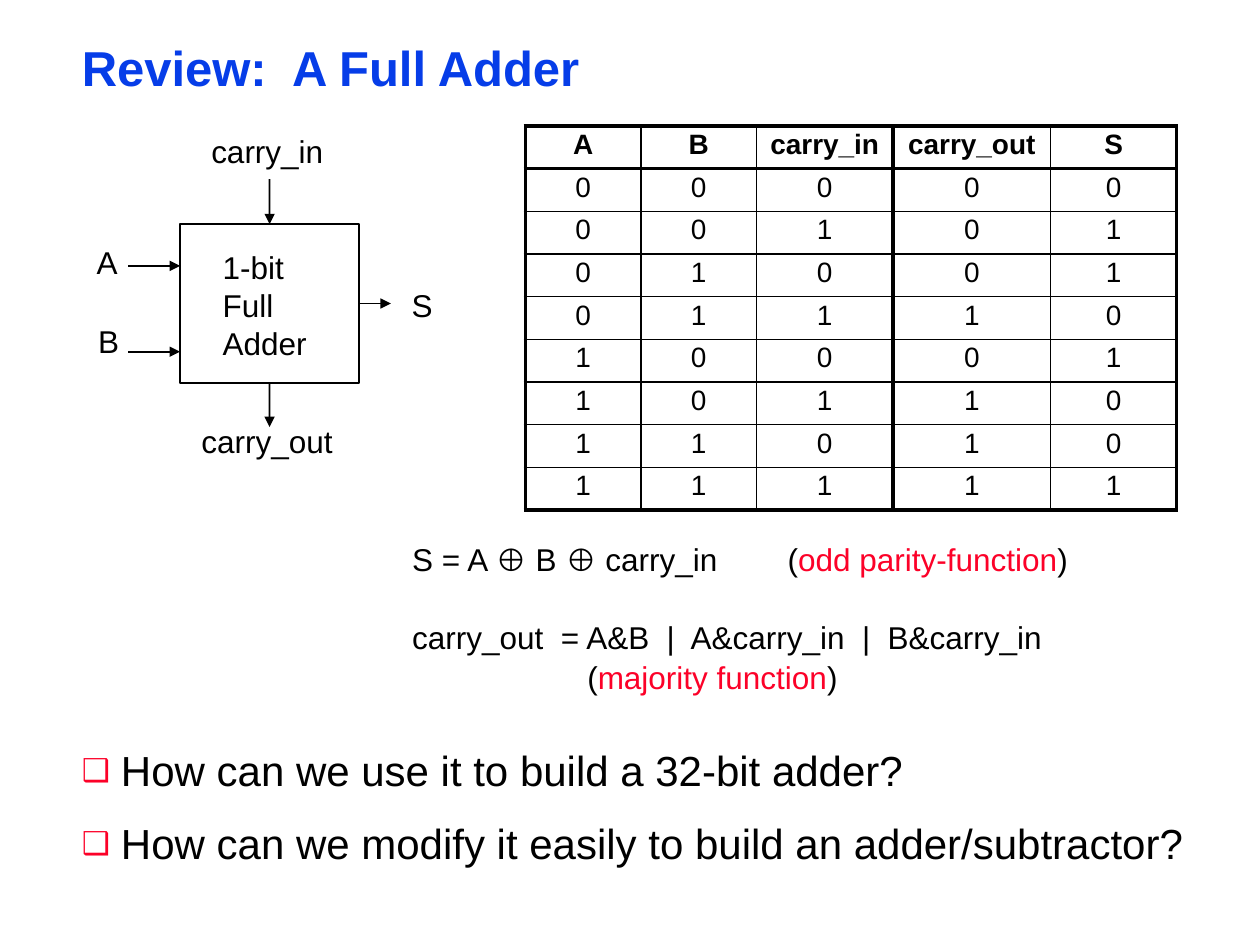
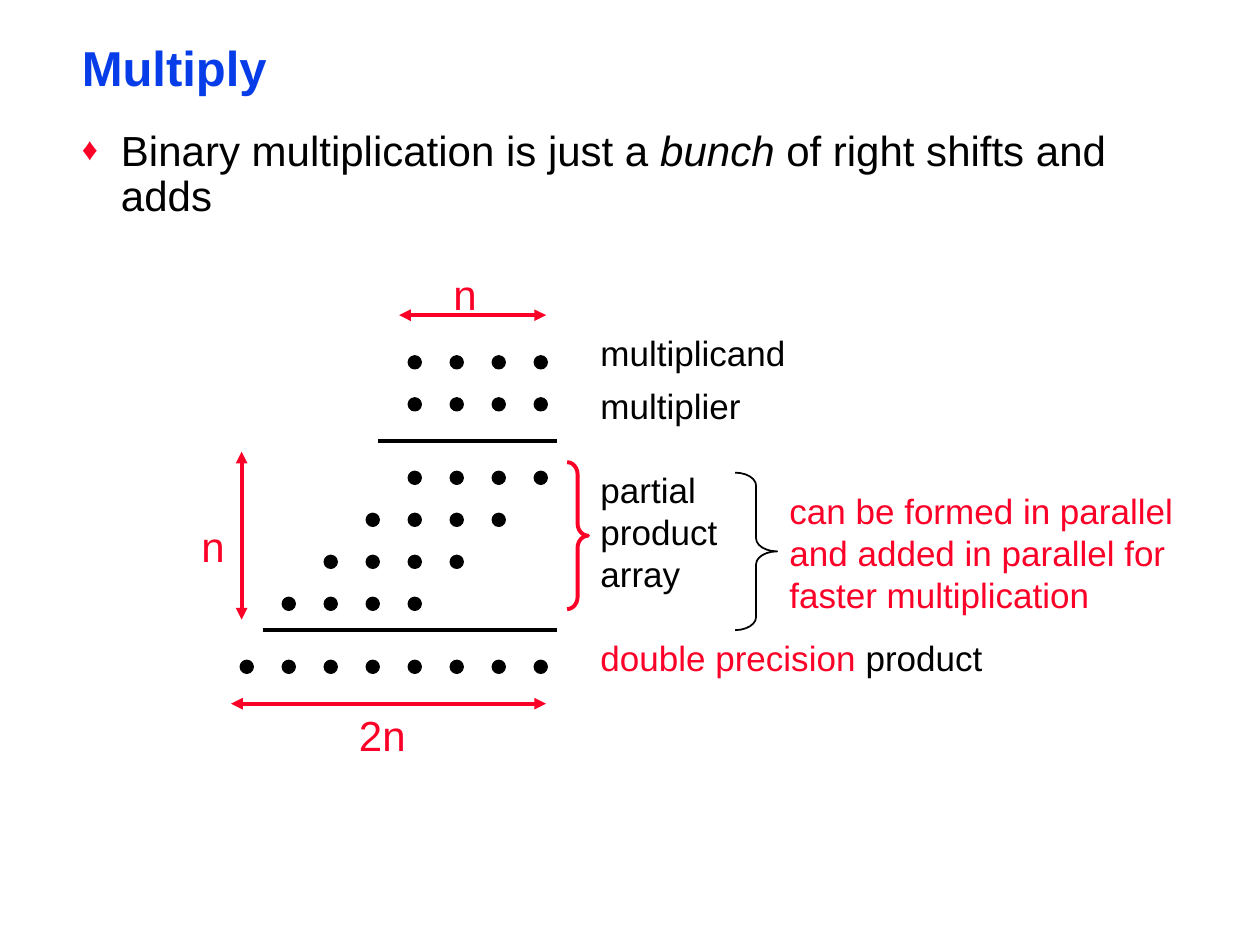
from itertools import product

from lxml import etree
from pptx import Presentation
from pptx import util as u
from pptx.dml.color import RGBColor
from pptx.enum import shapes, text
from pptx.oxml import ns

BLUE = RGBColor(0x06, 0x3D, 0xE8)
RED = RGBColor(0xFC, 0x01, 0x28)
BLACK = RGBColor(0, 0, 0)
FONT = "Arial"
THIN, THICK = 1, 2.25
MARGIN, CONTENT_WIDTH = 1.47, 22.66
TIGHT = (0.18, 0.08)
PITCH = 2.54 / 3
DOT = 0.21


def add_child(parent, tag, **attributes):
    """Append a DrawingML element and return it."""
    return etree.SubElement(parent, ns.qn(f"a:{tag}"), **attributes)


def write(frame, paragraphs, size=18, color=BLACK, bold=False, align=text.PP_ALIGN.LEFT,
          spacing=None, before=0, bullet=None, tab=None, insets=None, wrap=True):
    """Fill a text frame; each paragraph is a string or a list of (words, color, italic) spans."""
    frame.word_wrap = wrap
    frame.auto_size = text.MSO_AUTO_SIZE.NONE
    if insets:
        frame.margin_left = frame.margin_right = u.Cm(insets[0])
        frame.margin_top = frame.margin_bottom = u.Cm(insets[1])
    for index, spans in enumerate(paragraphs):
        para = frame.add_paragraph() if index else frame.paragraphs[0]
        para.alignment = align
        if spacing:
            para.line_spacing = spacing
        if index and before:
            para.space_before = u.Pt(before)
        for words, tint, italic in [(spans, color, False)] if isinstance(spans, str) else spans:
            span = para.add_run()
            span.text = words
            font = span.font
            font.name, font.size, font.bold, font.italic = FONT, u.Pt(size), bold, italic
            font.color.rgb = tint
        if bullet:
            set_bullet(para, bullet)
        if tab:
            stops = add_child(para._p.get_or_add_pPr(), "tabLst")
            add_child(stops, "tab", pos=str(u.Cm(tab)), algn="l")


def set_bullet(para, symbol):
    """Give a paragraph a red bullet with a hanging indent."""
    properties = para._p.get_or_add_pPr()
    properties.set("marL", str(u.Cm(0.79)))
    properties.set("indent", str(u.Cm(-0.79)))
    add_child(add_child(properties, "buClr"), "srgbClr", val=str(RED))
    add_child(properties, "buSzPct", val="75000")
    add_child(properties, "buFont", typeface=FONT)
    add_child(properties, "buChar", char=symbol)


def add_text(holder, left, top, width, height, *paragraphs, **style):
    """Place a text box in a page or group."""
    box = holder.shapes.add_textbox(u.Cm(left), u.Cm(top), u.Cm(width), u.Cm(height))
    write(box.text_frame, paragraphs, **style)
    return box


def add_figure(holder, kind, left, top, width, height, color=BLACK, weight=THICK, fill=None):
    """Place a flat preset shape in a page or group."""
    figure = holder.shapes.add_shape(kind, u.Cm(left), u.Cm(top), u.Cm(width), u.Cm(height))
    figure.shadow.inherit = False
    if fill is None:
        figure.fill.background()
    else:
        figure.fill.solid()
        figure.fill.fore_color.rgb = fill
    figure.line.color.rgb = color
    figure.line.width = u.Pt(weight)
    return figure


def add_line(page, start, end, color=BLACK, weight=THICK, heads=()):
    """Draw a straight line with triangles at the named ends."""
    line = page.shapes.add_connector(shapes.MSO_CONNECTOR.STRAIGHT,
                                     *(u.Cm(value) for value in (*start, *end)))
    line.line.color.rgb = color
    line.line.width = u.Pt(weight)
    properties = line.element.spPr
    for head in heads:
        add_child(properties.find(ns.qn("a:ln")), head, type="triangle")
    add_child(properties, "effectLst")
    return line


def add_page(deck, title):
    """Add a title-only page with the shared heading style."""
    page = deck.slides.add_slide(deck.slide_layouts[5])
    heading = page.shapes.title
    heading.left, heading.top = u.Cm(MARGIN), u.Cm(0.84)
    heading.width, heading.height = u.Cm(CONTENT_WIDTH), u.Cm(1.17)
    heading.text_frame.vertical_anchor = text.MSO_ANCHOR.TOP
    write(heading.text_frame, [title], size=28, color=BLUE, bold=True, spacing=0.87, insets=TIGHT)
    return page


def add_bullets(page, top, height, symbol, *paragraphs):
    """Add the bulleted statements of a page."""
    add_text(page, MARGIN, top, CONTENT_WIDTH, height, *paragraphs, size=24,
             spacing=0.9, before=16, bullet=symbol, insets=TIGHT)


def draw_adder(page, left, top, width, height):
    """Draw the adder block with its inputs and outputs."""
    adder = add_figure(page, shapes.MSO_SHAPE.RECTANGLE, left, top, width, height, weight=1.5)
    add_text(page, left + 0.61, top + 0.36, 2.36, 2.54, "1-bit Full Adder")
    arrow = {"weight": THIN, "heads": ["tailEnd"]}
    for drop in (0.84, 2.57):
        add_line(page, (left - 1.04, top + drop), (left, top + drop), **arrow)
    center, middle = left + width / 2, top + height / 2
    carry_in = add_line(page, (center, top - 0.91), (center, top), **arrow)
    carry_in.end_connect(adder, 0)
    carry_out = add_line(page, (center, top + height), (center, top + height + 0.89), **arrow)
    carry_out.begin_connect(adder, 2)
    total = add_line(page, (left + width, middle), (left + width + 0.64, middle), **arrow)
    total.begin_connect(adder, 3)
    for name, across, down, label_width in (
            ("A", -1.93, 0.25, 0.94), ("B", -1.9, 1.85, 0.94), ("S", 4.42, 1.12, 0.94),
            ("carry_in", 0.38, -1.98, 2.77), ("carry_out", 0.18, 3.86, 3.15)):
        add_text(page, left + across, top + down, label_width, 1.02, name, wrap=False)


def set_borders(cell, **weights):
    """Draw the four borders of a table cell, given as L, R, T and B."""
    for side, weight in weights.items():
        border = add_child(cell._tc.get_or_add_tcPr(), f"ln{side}", w=str(u.Pt(weight)))
        add_child(add_child(border, "solidFill"), "srgbClr", val=str(BLACK))


def draw_truth_table(page, left, top, widths, row_height):
    """Build the truth table of the adder."""
    rows = [("A", "B", "carry_in", "carry_out", "S")]
    for bits in product((0, 1), repeat=3):
        rows.append((*bits, int(sum(bits) >= 2), sum(bits) % 2))
    frame = page.shapes.add_table(len(rows), len(widths), u.Cm(left), u.Cm(top),
                                  u.Cm(sum(widths)), u.Cm(row_height * len(rows)))
    table = frame.table
    table.first_row = table.horz_banding = False
    for column, width in zip(table.columns, widths):
        column.width = u.Cm(width)
    vertical = [THICK, THIN, THIN, THICK, THIN, THICK]
    horizontal = [THICK, THICK] + [THIN] * (len(rows) - 2) + [THICK]
    for y, values in enumerate(rows):
        table.rows[y].height = u.Cm(row_height)
        for x, value in enumerate(values):
            cell = table.cell(y, x)
            write(cell.text_frame, [str(value)], size=16, bold=y == 0,
                  align=text.PP_ALIGN.CENTER, spacing=0.9)
            set_borders(cell, L=vertical[x], R=vertical[x + 1],
                        T=horizontal[y], B=horizontal[y + 1])
            cell.fill.background()


def draw_equations(page, left, top):
    """Write the logic equations of both outputs."""
    add_text(page, left, top, 15.8, 1.1,
             [("S = A ⊕ B ⊕ carry_in\t(", BLACK, False),
              ("odd parity-function", RED, False), (")", BLACK, False)],
             tab=7.57, insets=TIGHT)
    add_text(page, left, top + 1.55, 15.8, 0.95,
             "carry_out  = A&B  |  A&carry_in  |  B&carry_in", spacing=1.05, insets=TIGHT)
    add_text(page, left + 3.53, top + 2.34, 8, 0.95,
             [("(", BLACK, False), ("majority function", RED, False), (")", BLACK, False)],
             spacing=1.05, insets=TIGHT)


def draw_multiplication(page, left, top):
    """Draw the dot diagram on a grid that starts at the leftmost product dot."""
    def at(column, row):
        return left + column * PITCH, top + row * PITCH

    def label(holder, column, row, width, height, *paragraphs, **style):
        add_text(holder, *at(column, row), width * PITCH, height * PITCH, *paragraphs, **style)

    def brace(holder, column, row, width, height, bend, **style):
        figure = add_figure(holder, shapes.MSO_SHAPE.RIGHT_BRACE, *at(column, row),
                            width * PITCH, height * PITCH, **style)
        figure.adjustments[0] = bend

    partials = [(4 - step, 4, 2.75 + step) for step in range(4)]
    for first, count, row in [(4, 4, 0), (4, 4, 1), *partials, (0, 8, 7.25)]:
        for column in range(first, first + count):
            add_figure(page, shapes.MSO_SHAPE.OVAL, *at(column, row), DOT, DOT, fill=BLACK)
    for first, row in ((3.25, 2), (0.5, 6.5)):
        add_line(page, at(first, row), at(7.5, row))
    for start, end, name, spot in (((3.75, -1), (7.25, -1), "n", (4.75, -2.25)),
                                   ((-0.25, 8.25), (7.25, 8.25), "2n", (2.5, 8.25)),
                                   ((0, 6.25), (0, 2.25), "n", (-1.25, 3.75))):
        add_line(page, at(*start), at(*end), color=RED, heads=["headEnd", "tailEnd"])
        label(page, *spot, 1.75, 1.5, name, size=24, color=RED)
    for row, height, paragraphs in (
            (-0.75, 1.3, ["multiplicand"]), (0.5, 1.3, ["multiplier"]),
            (2.5, 3.3, ["partial", "product", "array"]),
            (6.5, 1.3, [[("double precision", RED, False), (" product", BLACK, False)]])):
        label(page, 8.25, row, 12, height, *paragraphs, size=20)
    brace(page, 7.75, 2.5, 0.5, 3.5, 0.58, color=RED)
    remark = page.shapes.add_group_shape()
    label(remark, 12.75, 3, 10.75, 3.3, size=20, color=RED,
          *["can be formed in parallel and added in parallel for faster multiplication"])
    brace(remark, 11.75, 2.75, 1, 3.75, 0.31, weight=THIN)


def build_adder_page(deck):
    """Build the review page about the full adder."""
    page = add_page(deck, "Review:  A Full Adder")
    draw_adder(page, 3.63, 4.52, 3.61, 3.2)
    draw_truth_table(page, 10.59, 2.54, (2.33, 2.33, 2.75, 3.18, 2.54), 0.86)
    draw_equations(page, 8.13, 10.8)
    add_bullets(page, 15.04, 2.62, "❑", "How can we use it to build a 32-bit adder?",
                "How can we modify it easily to build an adder/subtractor?")


def build_multiply_page(deck):
    """Build the page about binary multiplication."""
    page = add_page(deck, "Multiply")
    add_bullets(page, 2.54, 1.93, "♦",
                [("Binary multiplication is just a ", BLACK, False), ("bunch", BLACK, True),
                 (" of right shifts and adds", BLACK, False)])
    draw_multiplication(page, 4.87, 7.2)


def main():
    """Build and save the deck."""
    deck = Presentation()
    deck.slide_width, deck.slide_height = u.Cm(25.4), u.Cm(19.05)
    build_adder_page(deck)
    build_multiply_page(deck)
    deck.save("out.pptx")


if __name__ == "__main__":
    main()
